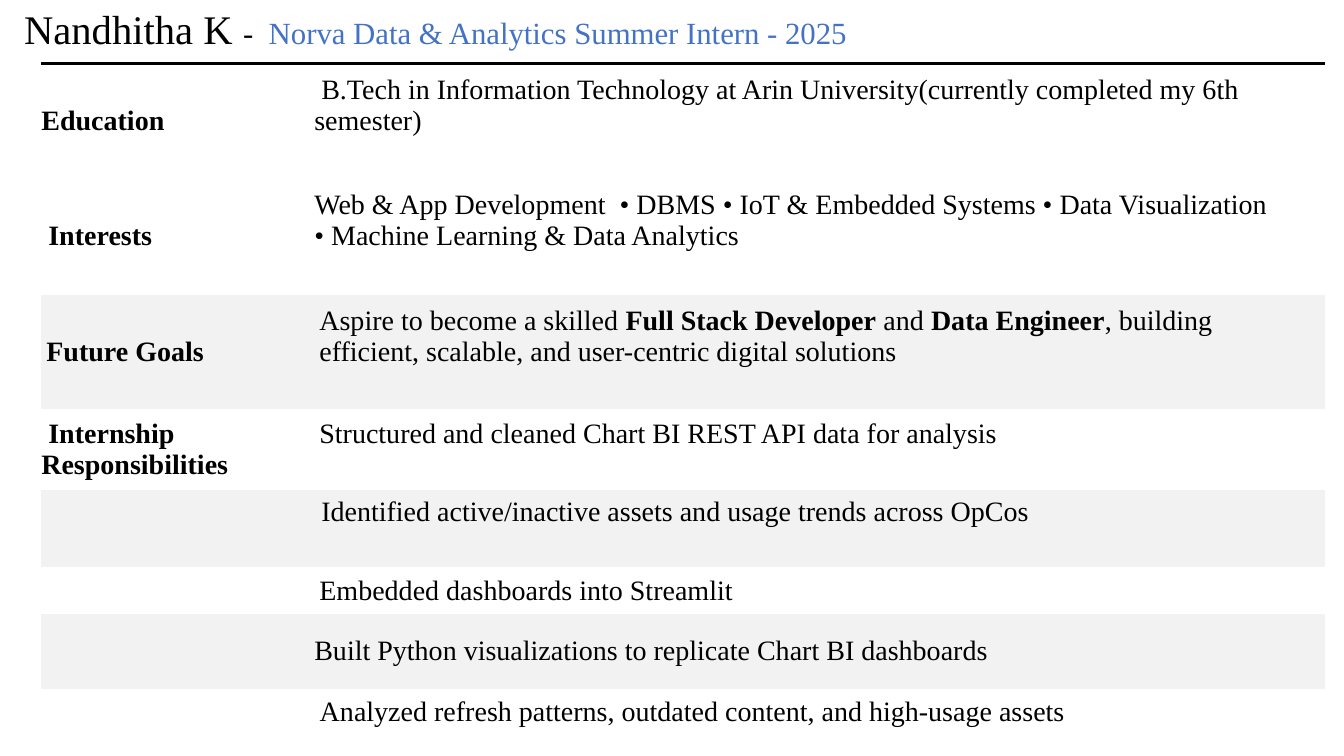
from lxml.etree import SubElement
from pptx import Presentation
from pptx.dml.color import RGBColor
from pptx.enum.text import MSO_ANCHOR as Anchor, MSO_AUTO_SIZE as AutoSize, PP_ALIGN as Align
from pptx.oxml.ns import qn
from pptx.util import Pt

COLORS = {"ink": "000000", "accent": "4472C4", "band": "F2F2F2"}
FONT = "Times New Roman"
BODY_SIZE = 20
NO_GRID_STYLE = "{2D5ABB26-0587-4C30-8999-92F81FD0307C}"

HEADING = [  # text, size, color
    ("Nandhitha K ", 29, "ink"),
    ("-  ", 22, "ink"),
    ("Norva Data & Analytics Summer Intern - 2025", 22, "accent"),
]

# Text between ** marks is bold; top is the space above top-anchored details.
PROFILE = [
    dict(label="**Education**", height=82, top=8,
         detail=" B.Tech in Information Technology at Arin University(currently completed my 6th semester)"),
    dict(label=" **Interests**", height=83, top=8,
         detail="Web & App Development  • DBMS • IoT & Embedded Systems • Data Visualization\n"
                "• Machine Learning & Data Analytics"),
    dict(label="**Future Goals**", height=82, top=8, banded=True, label_left=3.6, detail_left=3.6,
         detail="Aspire to become a skilled **Full Stack Developer** and **Data Engineer**, "
                "building efficient, scalable, and user-centric digital solutions"),
    dict(label=" **Internship**\n**Responsibilities**", height=57.5, top=6.5, detail_left=3.6,
         detail="Structured and cleaned Chart BI REST API data for analysis"),
    dict(height=55.5, top=5, banded=True,
         detail=" Identified active/inactive assets and usage trends across OpCos"),
    dict(height=33, detail_left=3.6, detail="Embedded dashboards into Streamlit"),
    dict(height=53.5, banded=True,
         detail="Built Python visualizations to replicate Chart BI dashboards"),
    dict(height=33,
         detail=" Analyzed refresh patterns, outdated content, and high-usage assets"),
]
COLUMN_WIDTHS = (195, 722)
TABLE_LEFT, TABLE_TOP = 29.5, 45.4


def add_run(paragraph, text, size=BODY_SIZE, color="ink", bold=False):
    run = paragraph.add_run()
    run.text = text
    for attribute, value in dict(name=FONT, size=Pt(size), bold=bold).items():
        setattr(run.font, attribute, value)
    run.font.color.rgb = RGBColor.from_string(COLORS[color])


def write_cell(cell, text, left=0, top=None):
    layout = dict(margin_left=Pt(left), margin_right=Pt(7.2),
                  margin_top=Pt(5 if top is None else top), margin_bottom=Pt(5),
                  vertical_anchor=Anchor.MIDDLE if top is None else Anchor.TOP)
    for attribute, value in layout.items():
        setattr(cell, attribute, value)
    frame = cell.text_frame
    for number, line in enumerate(text.split("\n")):
        paragraph = frame.add_paragraph() if number else frame.paragraphs[0]
        for position, part in enumerate(line.split("**")):
            if part:
                add_run(paragraph, part, bold=position % 2 == 1)


def add_top_rule(cell):
    properties = cell._tc.get_or_add_tcPr()
    rule = SubElement(properties, qn("a:lnT"), w=str(Pt(2.25)))
    fill = SubElement(rule, qn("a:solidFill"))
    SubElement(fill, qn("a:srgbClr"), val=COLORS["ink"])
    properties.insert(0, rule)


def add_heading(slide):
    title = slide.shapes.title
    box = dict(left=Pt(10), top=Pt(-0.7), width=Pt(686), height=Pt(42.5))
    for attribute, value in box.items():
        setattr(title, attribute, value)
    frame = title.text_frame
    frame.word_wrap = True
    frame.auto_size = AutoSize.NONE
    frame.vertical_anchor = Anchor.MIDDLE
    heading = frame.paragraphs[0]
    heading.alignment = Align.LEFT
    for text, size, color in HEADING:
        add_run(heading, text, size, color)


def add_profile(slide):
    total_height = sum(entry["height"] for entry in PROFILE)
    profile = slide.shapes.add_table(
        len(PROFILE), len(COLUMN_WIDTHS), Pt(TABLE_LEFT), Pt(TABLE_TOP),
        Pt(sum(COLUMN_WIDTHS)), Pt(total_height)).table
    profile.first_row = profile.horz_banding = False
    profile._tbl.tblPr.find(qn("a:tableStyleId")).text = NO_GRID_STYLE
    for column, width in zip(profile.columns, COLUMN_WIDTHS):
        column.width = Pt(width)
    for row, entry in zip(profile.rows, PROFILE):
        row.height = Pt(entry["height"])
        label, detail = row.cells
        write_cell(label, entry.get("label", ""), entry.get("label_left", 0))
        write_cell(detail, entry["detail"], entry.get("detail_left", 0), entry.get("top"))
        for cell in (label, detail):
            if entry.get("banded"):
                cell.fill.solid()
                cell.fill.fore_color.rgb = RGBColor.from_string(COLORS["band"])
            else:
                cell.fill.background()
    for cell in profile.rows[0].cells:
        add_top_rule(cell)


def main():
    deck = Presentation()
    deck.slide_width, deck.slide_height = Pt(960), Pt(540)
    slide = deck.slides.add_slide(deck.slide_layouts[5])
    add_heading(slide)
    add_profile(slide)
    deck.save("out.pptx")


if __name__ == "__main__":
    main()
